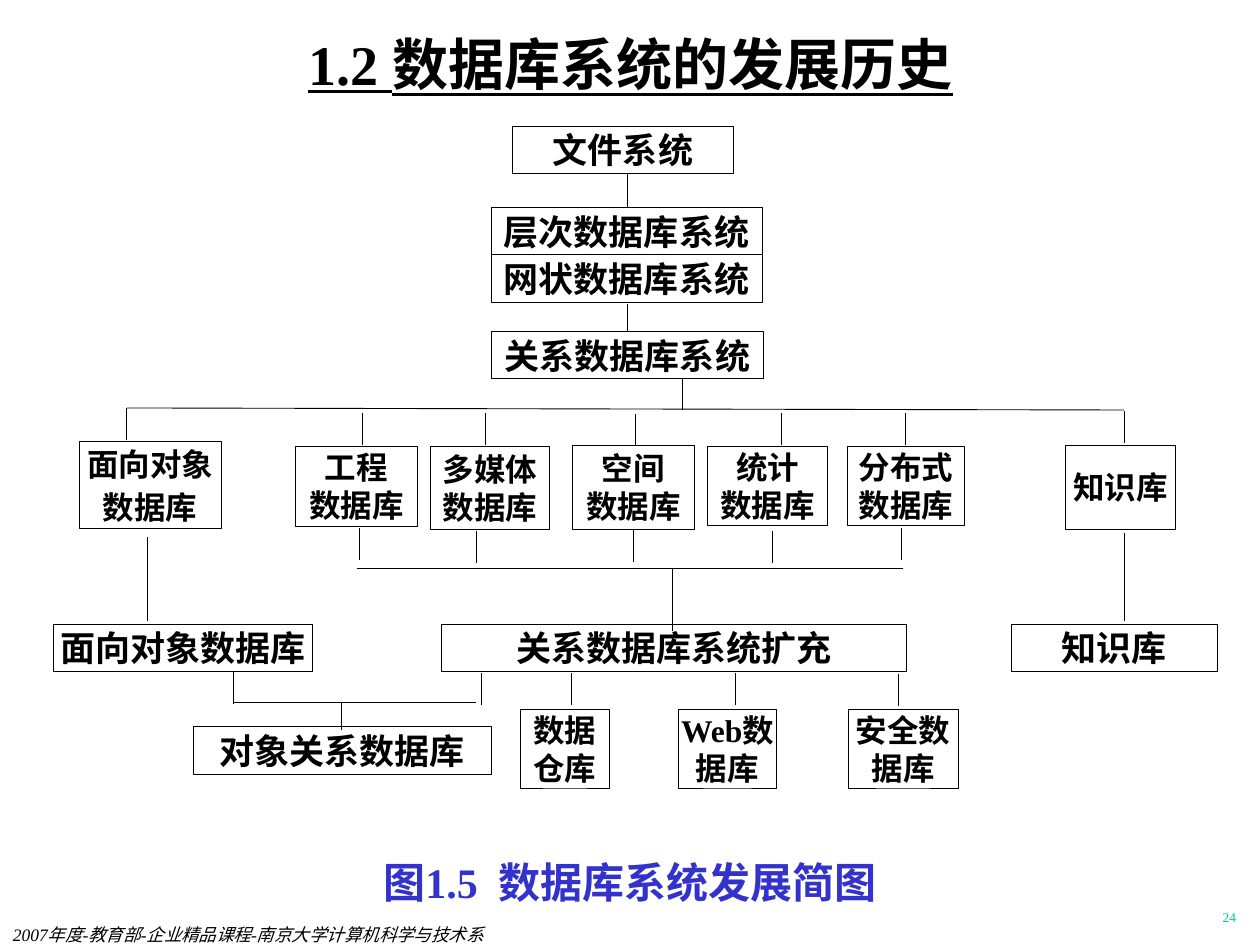
"""Build the slide on the history of database systems."""
import pptx
import pptx.dml.color
import pptx.enum.shapes
import pptx.enum.text
import pptx.oxml
import pptx.util

UNIT = 914400 / 126
FONT = "Times New Roman"
BLACK = "000000"
ALIGN = pptx.enum.text.PP_ALIGN
ANCHOR = pptx.enum.text.MSO_ANCHOR
RECT = pptx.enum.shapes.MSO_SHAPE.RECTANGLE
LINE = pptx.enum.shapes.MSO_CONNECTOR.STRAIGHT
NS = "http://schemas.openxmlformats.org/drawingml/2006/main"

WIDE = [
    ("文件系统", 512, 126, 222),
    ("层次数据库系统", 491, 207, 271),
    ("网状数据库系统", 491, 255, 271),
    ("关系数据库系统", 491, 331, 273),
    ("面向对象数据库", 53, 624, 260),
    ("关系数据库系统扩充", 441, 624, 466),
    ("知识库", 1011, 624, 207),
    ("对象关系数据库", 193, 727, 298),
]
TALL = [
    ("面向对象\n数据库", 79, 442, 142, 87),
    ("工程\n数据库", 295, 446, 123, 80),
    ("多媒体\n数据库", 430, 446, 120, 83),
    ("空间\n数据库", 572, 445, 123, 84),
    ("统计\n数据库", 707, 446, 121, 79),
    ("分布式\v数据库", 847, 446, 118, 79),
    ("知识库", 1065, 445, 111, 84),
    ("数据\v仓库", 520, 709, 90, 79),
    ("Web数据库", 678, 709, 99, 79),
    ("安全数据库", 848, 709, 110, 79),
]
DROP = 32
DROPS = [
    (682, 378), (126, 408), (1124, 411),
    (362, 413), (485, 413), (635, 414), (781, 413), (905, 413),
    (359, 528), (476, 531), (633, 530), (772, 531), (901, 528),
    (233, 672), (481, 673), (571, 673), (735, 673), (898, 674),
]
LINKS = [
    (627, 174, 627, 207), (627, 304, 627, 331),
    (127, 408, 1124, 410), (357, 568, 903, 568),
    (672, 568, 672, 631), (147, 537, 147, 621),
    (1124, 533, 1124, 621), (233, 702, 476, 702),
    (341, 703, 341, 730),
]


def px(*nums):
    return [pptx.util.Emu(round(n * UNIT)) for n in nums]


def color(code):
    return pptx.dml.color.RGBColor.from_string(code)


def write(frame, text, size, align, code=BLACK, bold=False, pad=(0, 0)):
    frame.word_wrap = True
    frame.margin_left = frame.margin_right = px(pad[0])[0]
    frame.margin_top = frame.margin_bottom = px(pad[1])[0]
    frame.text = text
    for para in frame.paragraphs:
        para.alignment = align
        font = para.font
        font.name = FONT
        font.size = pptx.util.Pt(size)
        font.bold = bold
        font.color.rgb = color(code)


def label(slide, text, area, size, align, code=BLACK, bold=False, inset=0):
    frame = slide.shapes.add_textbox(*px(*area)).text_frame
    write(frame, text, size, align, code, bold, (13, inset))
    return frame


def box(slide, text, area, size):
    shape = slide.shapes.add_shape(RECT, *px(*area))
    shape.shadow.inherit = False
    shape.fill.solid()
    shape.fill.fore_color.rgb = color("FFFFFF")
    shape.line.color.rgb = color(BLACK)
    shape.line.width = pptx.util.Pt(0.5)
    frame = shape.text_frame
    frame.vertical_anchor = ANCHOR.MIDDLE
    write(frame, text, size, ALIGN.CENTER, bold=True)
    return frame


def link(slide, *ends):
    line = slide.shapes.add_connector(LINE, *px(*ends))
    line.line.color.rgb = color(BLACK)
    line.line.width = pptx.util.Pt(0.5)
    effect = pptx.oxml.parse_xml(f'<a:effectLst xmlns:a="{NS}"/>')
    line._element.spPr.append(effect)


def main():
    deck = pptx.Presentation()
    deck.slide_width, deck.slide_height = px(1260, 945)
    slide = deck.slides.add_slide(deck.slide_layouts[6])

    title = label(slide, "1.2 数据库系统的发展历史", (95, 32, 1071, 63),
                  32, ALIGN.CENTER, bold=True)
    title.vertical_anchor = ANCHOR.MIDDLE
    title.paragraphs[0].font.underline = True

    for text, left, top, width in WIDE:
        box(slide, text, (left, top, width, 48), 20)
    for text, *area in TALL:
        frame = box(slide, text, area, 18)
        if text.startswith("面向"):
            frame.paragraphs[0].space_after = pptx.util.Pt(3)

    for left, top in DROPS:
        link(slide, left, top, left, top + DROP)
    for ends in LINKS:
        link(slide, *ends)

    label(slide, "图1.5  数据库系统发展简图", (168, 851, 924, 63),
          24, ALIGN.CENTER, "3333CC", True, 6)
    foot = label(slide, "2007年度-教育部-企业精品课程-南京大学计算机科学与技术系",
                 (0, 924, 693, 21), 10, ALIGN.LEFT)
    foot.paragraphs[0].font.italic = True
    label(slide, "24", (987, 903, 262, 32), 7.7, ALIGN.RIGHT, "00CC99", inset=6)

    deck.save("out.pptx")


if __name__ == "__main__":
    main()
